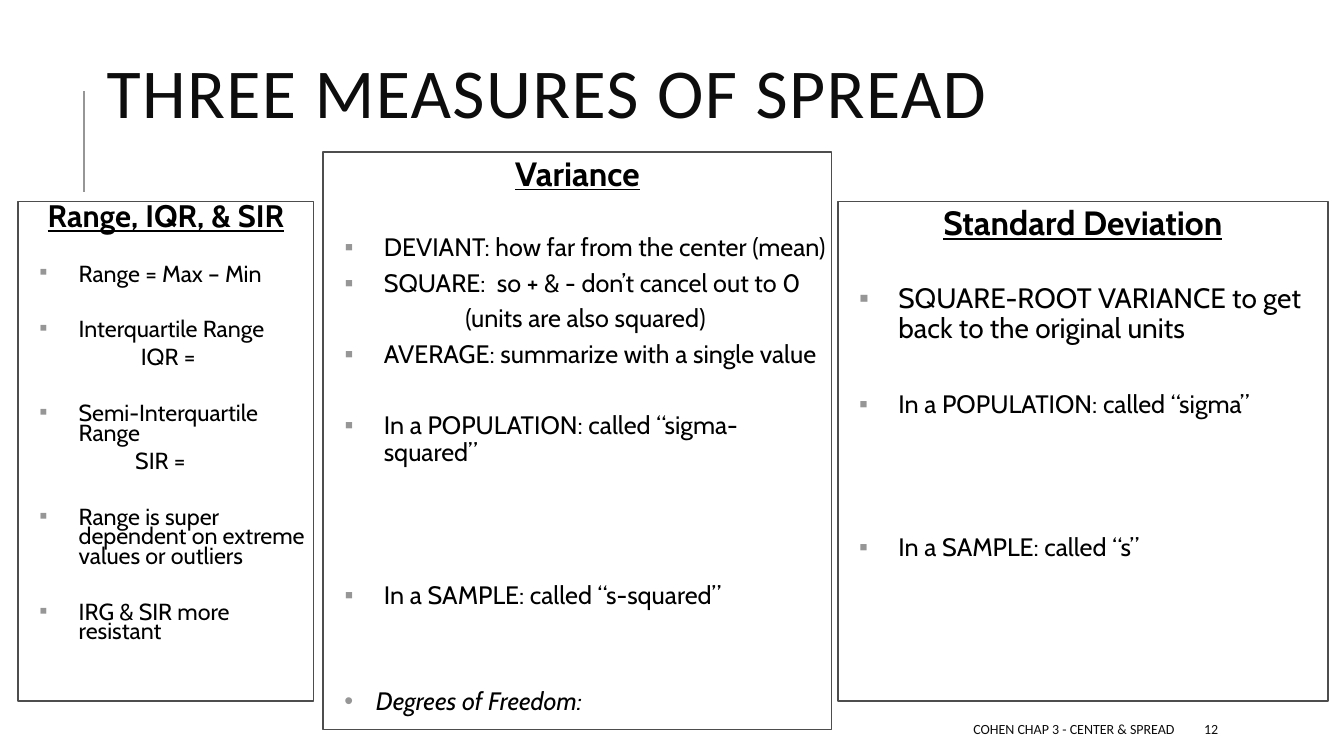
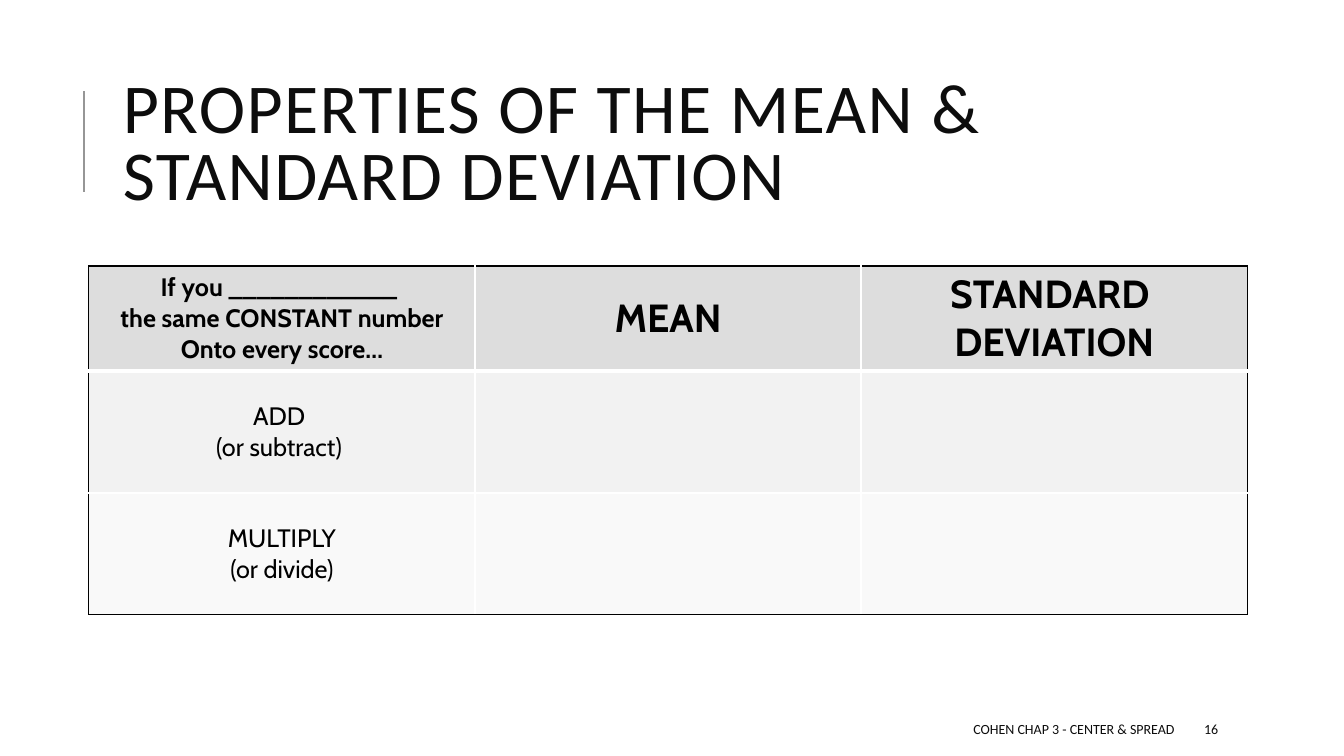
from dataclasses import dataclass
from typing import Any, Optional

import lxml.etree
import pptx
import pptx.dml.color
import pptx.enum.shapes
import pptx.enum.text
import pptx.oxml.ns
import pptx.util

Pt = pptx.util.Pt
RGBColor = pptx.dml.color.RGBColor
ALIGN = pptx.enum.text.PP_ALIGN
ANCHOR = pptx.enum.text.MSO_ANCHOR
qn = pptx.oxml.ns.qn

BLACK = RGBColor(0x00, 0x00, 0x00)
WHITE = RGBColor(0xFF, 0xFF, 0xFF)
INK = RGBColor(0x0D, 0x0D, 0x0D)
ACCENT = RGBColor(0x96, 0x96, 0x96)
FRAME = RGBColor(0x4D, 0x4D, 0x4D)
ROW_FILLS = [RGBColor(0xDD, 0xDD, 0xDD), RGBColor(0xF2, 0xF2, 0xF2), RGBColor(0xF9, 0xF9, 0xF9)]

HEADING_FONT = "Calibri"
BODY_FONT = "Cabin"
FOOTER = "COHEN CHAP 3 - CENTER & SPREAD"
TITLE_ONLY_LAYOUT = 5
CONTENT_LAYOUT = 1


@dataclass(frozen=True)
class Area:
    left: float
    top: float
    width: float
    height: float

    def lengths(self) -> tuple:
        return Pt(self.left), Pt(self.top), Pt(self.width), Pt(self.height)


@dataclass(frozen=True)
class Item:
    """A panel paragraph; skipped is the number of rows left open above it."""
    text: str
    skipped: float = 0
    bullet: Optional[str] = "▪"
    left: float = 39.6
    hanging: float = 28
    align: Any = ALIGN.LEFT
    size: Optional[float] = None
    italic: bool = False


@dataclass(frozen=True)
class Panel:
    area: Area
    heading: str
    heading_size: float
    size: float
    line_spacing: float
    row: float
    items: list


@dataclass(frozen=True)
class CellText:
    lines: list
    size: float
    bold: bool = False


RANGE_PANEL = Panel(
    Area(13, 144, 211, 357), "Range, IQR, & SIR", 22.2, 16.6, 0.7, 20,
    [
        Item("Range = Max – Min", skipped=1),
        Item("Interquartile Range", skipped=1),
        Item("IQR =", bullet=None, left=84, hanging=0),
        Item("Semi-Interquartile Range", skipped=1),
        Item("SIR =", bullet=None, left=80, hanging=0),
        Item("Range is super dependent on extreme values or outliers", skipped=1),
        Item("IRG & SIR more resistant", skipped=1),
    ],
)
VARIANCE_PANEL = Panel(
    Area(231, 108.7, 363, 412.5), "Variance", 24, 18, 0.9, 25.4,
    [
        Item("DEVIANT: how far from the center (mean)", skipped=1),
        Item("SQUARE:  so + & - don’t cancel out to 0"),
        Item("(units are also squared)", bullet=None, left=11.5, hanging=0, align=ALIGN.CENTER),
        Item("AVERAGE: summarize with a single value"),
        Item("In a POPULATION: called “sigma-squared”", skipped=1),
        Item("In a SAMPLE: called “s-squared”", skipped=3),
        Item("Degrees of Freedom:", skipped=2, bullet="•", left=34, hanging=22.5, italic=True),
    ],
)
DEVIATION_PANEL = Panel(
    Area(598.5, 144, 350, 357), "Standard Deviation", 24, 18, 0.9, 25.4,
    [
        Item("SQUARE-ROOT VARIANCE to get back to the original units", skipped=1, size=20),
        Item("In a POPULATION: called “sigma”", skipped=1.1),
        Item("In a SAMPLE: called “s”", skipped=3),
    ],
)

TABLE_AREA = Area(63.5, 190, 827.4, 249)
ROW_HEIGHTS = [75, 87, 87]
TABLE_TEXTS = {
    (0, 0): CellText(
        ["If you ____________ ", "the same CONSTANT number", "Onto every score…"], 18, bold=True),
    (0, 1): CellText(["MEAN"], 28, bold=True),
    (0, 2): CellText(["STANDARD ", "DEVIATION"], 28, bold=True),
    (1, 0): CellText(["ADD ", "(or subtract) "], 18),
    (2, 0): CellText(["MULTIPLY", "(or divide)"], 18),
}


def set_bullet(para: Any, mark: Optional[str], left: float, hanging: float) -> None:
    properties = para._p.get_or_add_pPr()
    properties.set("marL", str(Pt(left)))
    properties.set("indent", str(-Pt(hanging)))
    if mark is None:
        lxml.etree.SubElement(properties, qn("a:buNone"))
        return
    color = lxml.etree.SubElement(properties, qn("a:buClr"))
    lxml.etree.SubElement(color, qn("a:srgbClr"), val=str(ACCENT))
    lxml.etree.SubElement(properties, qn("a:buFont"), typeface="Arial")
    lxml.etree.SubElement(properties, qn("a:buChar"), char=mark)


def write(
    text_frame: Any, text: str, *, size: float, font: str = BODY_FONT, color: RGBColor = BLACK,
    bold: bool = False, italic: bool = False, underline: bool = False, align: Any = ALIGN.LEFT,
    line_spacing: float = 1.0, before: float = 0, after: float = 0, tracking: float = 0,
    bullet: Optional[str] = None, left: float = 0, hanging: float = 0,
) -> None:
    """Fill the frame's empty first paragraph, or add a paragraph after the last one."""
    para = text_frame.paragraphs[0]
    if para.runs:
        para = text_frame.add_paragraph()
    set_bullet(para, bullet, left, hanging)
    para.alignment = align
    para.line_spacing = line_spacing
    para.space_before = Pt(before)
    para.space_after = Pt(after)
    span = para.add_run()
    span.text = text
    span.font.name = font
    span.font.size = Pt(size)
    span.font.bold = bold
    span.font.italic = italic
    span.font.underline = underline
    span.font.color.rgb = color
    if tracking:
        span._r.get_or_add_rPr().set("spc", str(round(tracking * 100)))


def place(shape: Any, area: Area) -> None:
    shape.left, shape.top, shape.width, shape.height = area.lengths()


def prepare_frame(shape: Any, anchor: Any) -> Any:
    text_frame = shape.text_frame
    text_frame.word_wrap = True
    text_frame.auto_size = pptx.enum.text.MSO_AUTO_SIZE.NONE
    text_frame.vertical_anchor = anchor
    return text_frame


def add_footer_text(page: Any, text: str, area: Area, align: Any) -> None:
    box = page.shapes.add_textbox(*area.lengths())
    write(prepare_frame(box, ANCHOR.MIDDLE), text, size=10, font=HEADING_FONT, color=INK, align=align)


def add_page(deck: Any, layout: int, title: str, title_area: Area, number: int) -> Any:
    """Add a slide with the shared title style, accent line and footer."""
    page = deck.slides.add_slide(deck.slide_layouts[layout])
    place(page.shapes.title, title_area)
    write(prepare_frame(page.shapes.title, ANCHOR.MIDDLE), title, size=50, font=HEADING_FONT,
          color=INK, line_spacing=0.8, tracking=1)
    accent = page.shapes.add_connector(
        pptx.enum.shapes.MSO_CONNECTOR.STRAIGHT, Pt(60), Pt(137), Pt(60), Pt(65))
    accent.line.color.rgb = ACCENT
    accent.line.width = Pt(1.5)
    lxml.etree.SubElement(accent._element.spPr, qn("a:effectLst"))
    add_footer_text(page, FOOTER, Area(381.5, 510, 464.5, 21.5), ALIGN.RIGHT)
    add_footer_text(page, str(number), Area(853, 510, 76.5, 21.5), ALIGN.LEFT)
    return page


def fill_panel(shape: Any, panel: Panel) -> None:
    place(shape, panel.area)
    shape.shadow.inherit = False
    shape.fill.solid()
    shape.fill.fore_color.rgb = WHITE
    shape.line.color.rgb = FRAME
    shape.line.width = Pt(1.25)
    text_frame = prepare_frame(shape, ANCHOR.TOP)
    text_frame.margin_left = text_frame.margin_right = Pt(3.6)
    text_frame.margin_top = text_frame.margin_bottom = Pt(3.6)
    write(text_frame, panel.heading, size=panel.heading_size, bold=True, underline=True,
          align=ALIGN.CENTER, line_spacing=panel.line_spacing, after=2)
    for item in panel.items:
        write(text_frame, item.text, size=item.size or panel.size, italic=item.italic,
              align=item.align, line_spacing=panel.line_spacing,
              before=2 + round(item.skipped * panel.row, 1), after=4,
              bullet=item.bullet, left=item.left, hanging=item.hanging)


def set_border(cell: Any, side: str, color: RGBColor, width: float) -> None:
    line = lxml.etree.SubElement(
        cell._tc.get_or_add_tcPr(), qn(f"a:ln{side}"), w=str(Pt(width)))
    fill = lxml.etree.SubElement(line, qn("a:solidFill"))
    lxml.etree.SubElement(fill, qn("a:srgbClr"), val=str(color))


def add_properties_table(page: Any) -> None:
    rows = columns = 3
    table = page.shapes.add_table(rows, columns, *TABLE_AREA.lengths()).table
    for column in table.columns:
        column.width = Pt(TABLE_AREA.width / columns)
    for row_index, height in enumerate(ROW_HEIGHTS):
        table.rows[row_index].height = Pt(height)
        for column_index in range(columns):
            cell = table.cell(row_index, column_index)
            outer_sides = {
                "L": column_index == 0, "R": column_index == columns - 1,
                "T": row_index == 0, "B": row_index == rows - 1,
            }
            for side, outer in outer_sides.items():
                under_header = (row_index, side) in ((0, "B"), (1, "T"))
                set_border(cell, side, BLACK if outer else WHITE, 3 if under_header else 1)
            cell.fill.solid()
            cell.fill.fore_color.rgb = ROW_FILLS[row_index]
            cell.vertical_anchor = ANCHOR.MIDDLE
            content = TABLE_TEXTS.get((row_index, column_index))
            for line in content.lines if content else []:
                write(cell.text_frame, line, size=content.size, bold=content.bold,
                      align=ALIGN.CENTER)


def main() -> None:
    deck = pptx.Presentation()
    deck.slide_width, deck.slide_height = Pt(960), Pt(540)

    spread = add_page(deck, CONTENT_LAYOUT, "THREE MEASURES OF SPREAD",
                      Area(69, 11.5, 765.5, 118), 12)
    fill_panel(spread.placeholders[1], RANGE_PANEL)
    for panel in (VARIANCE_PANEL, DEVIATION_PANEL):
        rectangle = spread.shapes.add_shape(
            pptx.enum.shapes.MSO_SHAPE.RECTANGLE, *panel.area.lengths())
        fill_panel(rectangle, panel)

    properties = add_page(deck, TITLE_ONLY_LAYOUT, "PROPERTIES OF THE MEAN & STANDARD DEVIATION",
                          Area(80.5, 46, 849.5, 118), 16)
    add_properties_table(properties)

    deck.save("out.pptx")


if __name__ == "__main__":
    main()
